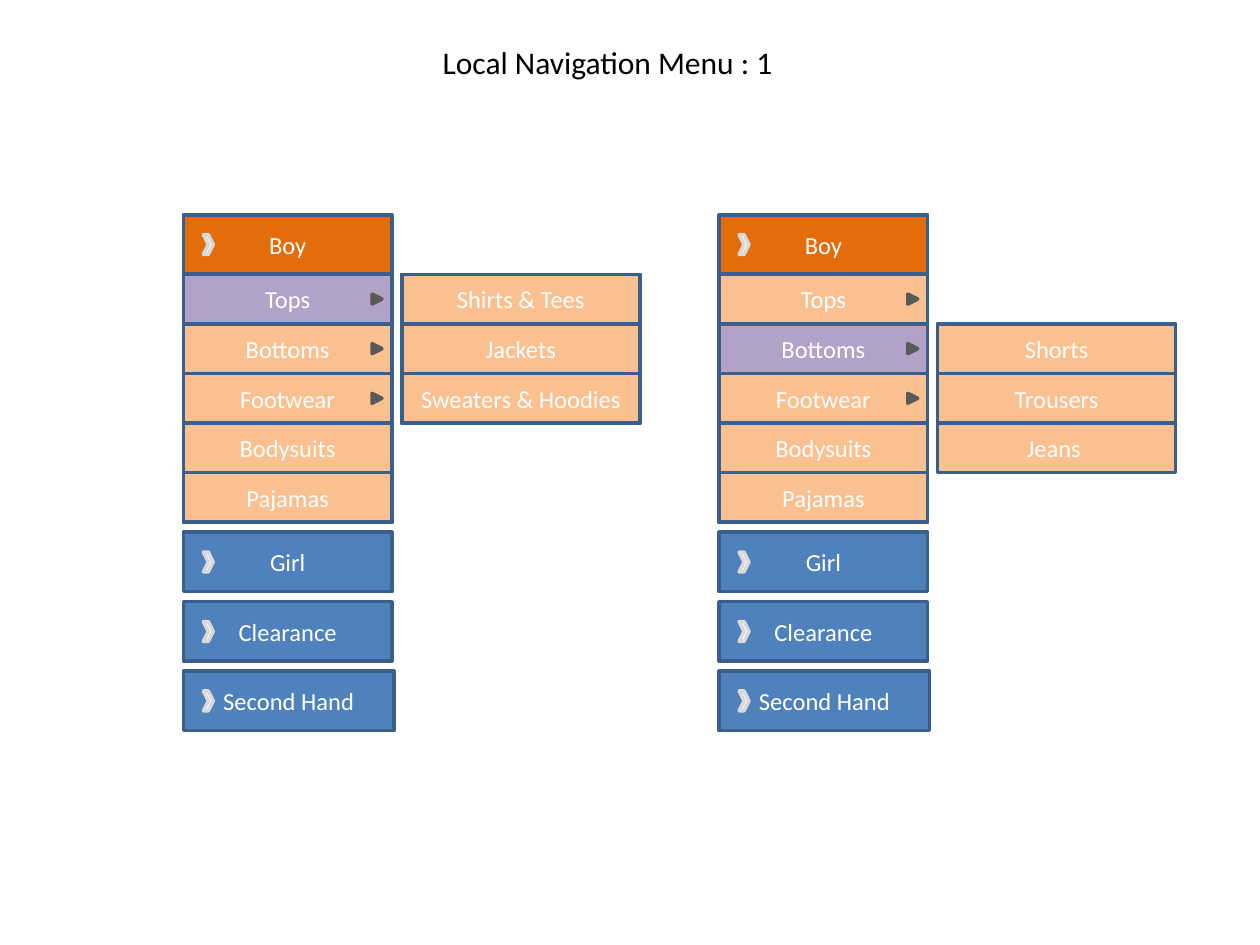
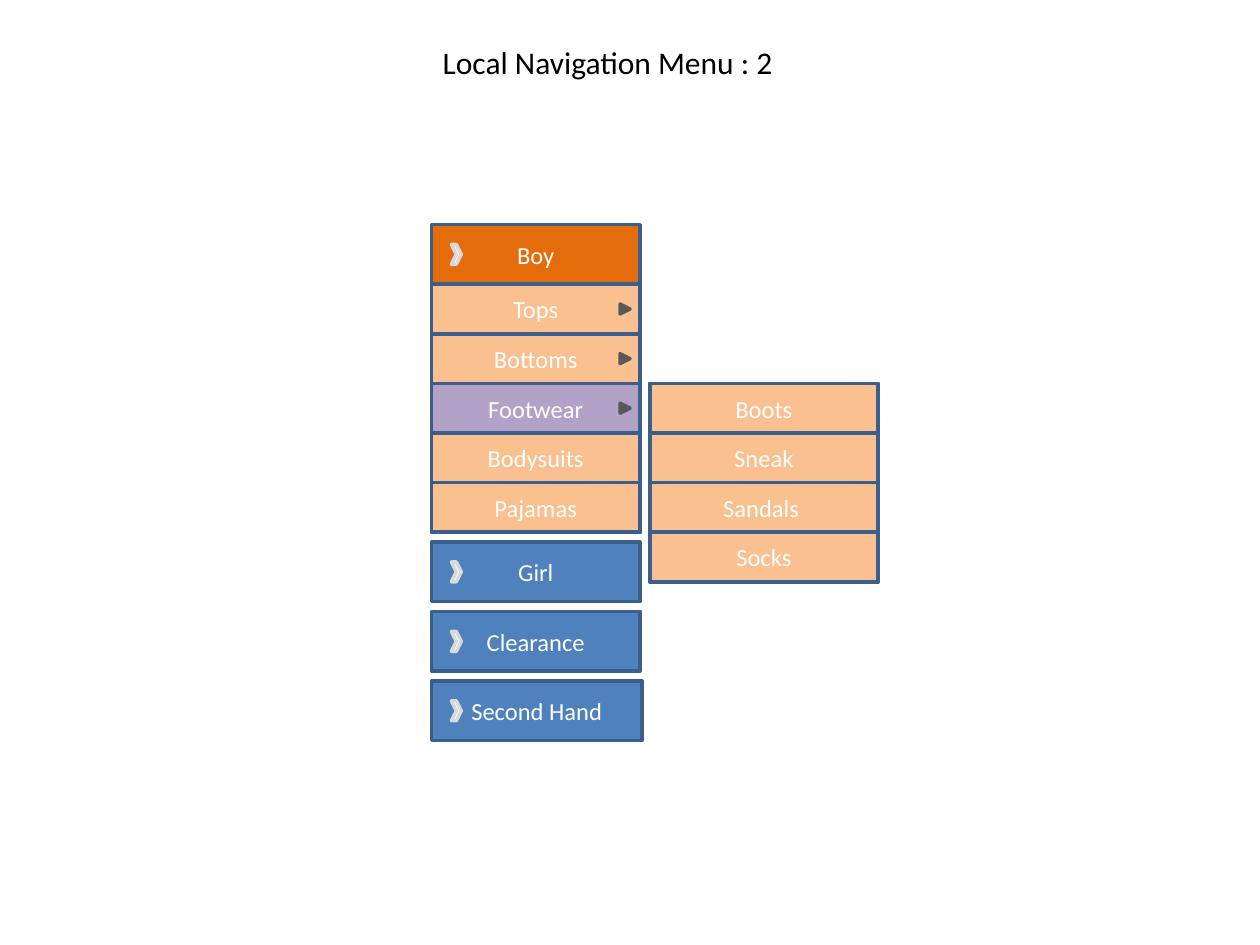
from pptx import Presentation
from pptx.dml.color import RGBColor
from pptx.enum.shapes import MSO_SHAPE as Preset
from pptx.enum.text import MSO_ANCHOR as Anchor, MSO_AUTO_SIZE as AutoSize, PP_ALIGN as Align
from pptx.util import Cm, Pt

BLACK = RGBColor(0x00, 0x00, 0x00)
WHITE = RGBColor(0xFF, 0xFF, 0xFF)
ORANGE = RGBColor(0xE4, 0x6C, 0x0A)
PEACH = RGBColor(0xFA, 0xC0, 0x90)
PURPLE = RGBColor(0xB3, 0xA2, 0xC7)
BLUE = RGBColor(0x4F, 0x81, 0xBD)
NAVY = RGBColor(0x3A, 0x5F, 0x8C)
GREY = RGBColor(0x59, 0x59, 0x59)
SILVER = RGBColor(0xD9, 0xD9, 0xD9)

FONT = "Calibri"
TITLE_ONLY = 5
MENU_WIDTH = 4.2
WIDE_BUTTON = 4.24
BUTTON_HEIGHT = 1.2
ROW_HEIGHT = 1.0
GAP = 0.2

ITEMS = ["Tops", "Bottoms", "Footwear", "Bodysuits", "Pajamas"]
SUBMENUS = {
    "Tops": ["Shirts & Tees", "Jackets", "Sweaters & Hoodies"],
    "Bottoms": ["Shorts", "Trousers", "Jeans "],
    "Footwear": ["Boots", "Sneak", "Sandals ", "Socks"],
}
OTHER_SECTIONS = [("Girl", MENU_WIDTH), ("Clearance", MENU_WIDTH), ("Second Hand", WIDE_BUTTON)]


def write(frame, text, size, color):
    para = frame.paragraphs[0]
    para.alignment = Align.CENTER
    span = para.add_run()
    span.text = text
    span.font.name = FONT
    span.font.size = Pt(size)
    span.font.color.rgb = color


def add_page(deck, title):
    page = deck.slides.add_slide(deck.slide_layouts[TITLE_ONLY])
    box = page.shapes.title
    box.left, box.top, box.width, box.height = Cm(7.3), Cm(0.74), Cm(9.9), Cm(1.02)
    box.text_frame.auto_size = AutoSize.NONE
    box.text_frame.vertical_anchor = Anchor.TOP
    write(box.text_frame, title, 18, BLACK)
    return page


def add_figure(page, preset, left, top, width, height, fill, line):
    figure = page.shapes.add_shape(preset, Cm(left), Cm(top), Cm(width), Cm(height))
    figure.shadow.inherit = False
    if fill is None:
        figure.fill.background()
    else:
        figure.fill.solid()
        figure.fill.fore_color.rgb = fill
    figure.line.color.rgb = line
    figure.line.width = Pt(2)
    return figure


def add_cell(page, text, left, top, width, height, fill=None):
    cell = add_figure(page, Preset.RECTANGLE, left, top, width, height, fill, NAVY)
    cell.text_frame.word_wrap = True
    cell.text_frame.vertical_anchor = Anchor.MIDDLE
    write(cell.text_frame, text, 14, WHITE)


def add_button(page, text, left, top, width, fill):
    add_cell(page, text, left, top, width, BUTTON_HEIGHT, fill)
    add_figure(page, Preset.CHEVRON, left + 0.4, top + 0.4, 0.2, 0.4, WHITE, SILVER)


def add_list(page, labels, left, top, width, selected=None):
    height = len(labels) * ROW_HEIGHT
    add_figure(page, Preset.RECTANGLE, left, top, width, height, PEACH, NAVY)
    for index, label in enumerate(labels):
        row_top = top + index * ROW_HEIGHT
        fill = PURPLE if label == selected else None
        add_cell(page, label, left, row_top, width, ROW_HEIGHT, fill)
        if label in SUBMENUS:
            marker = add_figure(page, Preset.ISOSCELES_TRIANGLE, left + width - 0.4,
                                row_top + 0.4, 0.2, 0.2, GREY, GREY)
            marker.rotation = 90


def add_menu(page, left, top, selected, submenu_width):
    add_button(page, "Boy", left, top, MENU_WIDTH, ORANGE)
    list_top = top + BUTTON_HEIGHT
    add_list(page, ITEMS, left, list_top, MENU_WIDTH, selected)
    submenu_top = list_top + ITEMS.index(selected) * ROW_HEIGHT
    add_list(page, SUBMENUS[selected], left + MENU_WIDTH + GAP, submenu_top, submenu_width)
    section_top = list_top + len(ITEMS) * ROW_HEIGHT + GAP
    for label, width in OTHER_SECTIONS:
        add_button(page, label, left, section_top, width, BLUE)
        section_top += BUTTON_HEIGHT + GAP


def main():
    deck = Presentation()
    deck.slide_width, deck.slide_height = Cm(25.4), Cm(19.05)

    page = add_page(deck, "Local Navigation Menu : 1")
    add_menu(page, 3.7, 4.33, "Tops", 4.8)
    add_menu(page, 14.5, 4.33, "Bottoms", 4.8)

    page = add_page(deck, "Local Navigation Menu : 2")
    add_menu(page, 8.7, 4.53, "Footwear", 4.6)

    deck.save("out.pptx")


if __name__ == "__main__":
    main()
